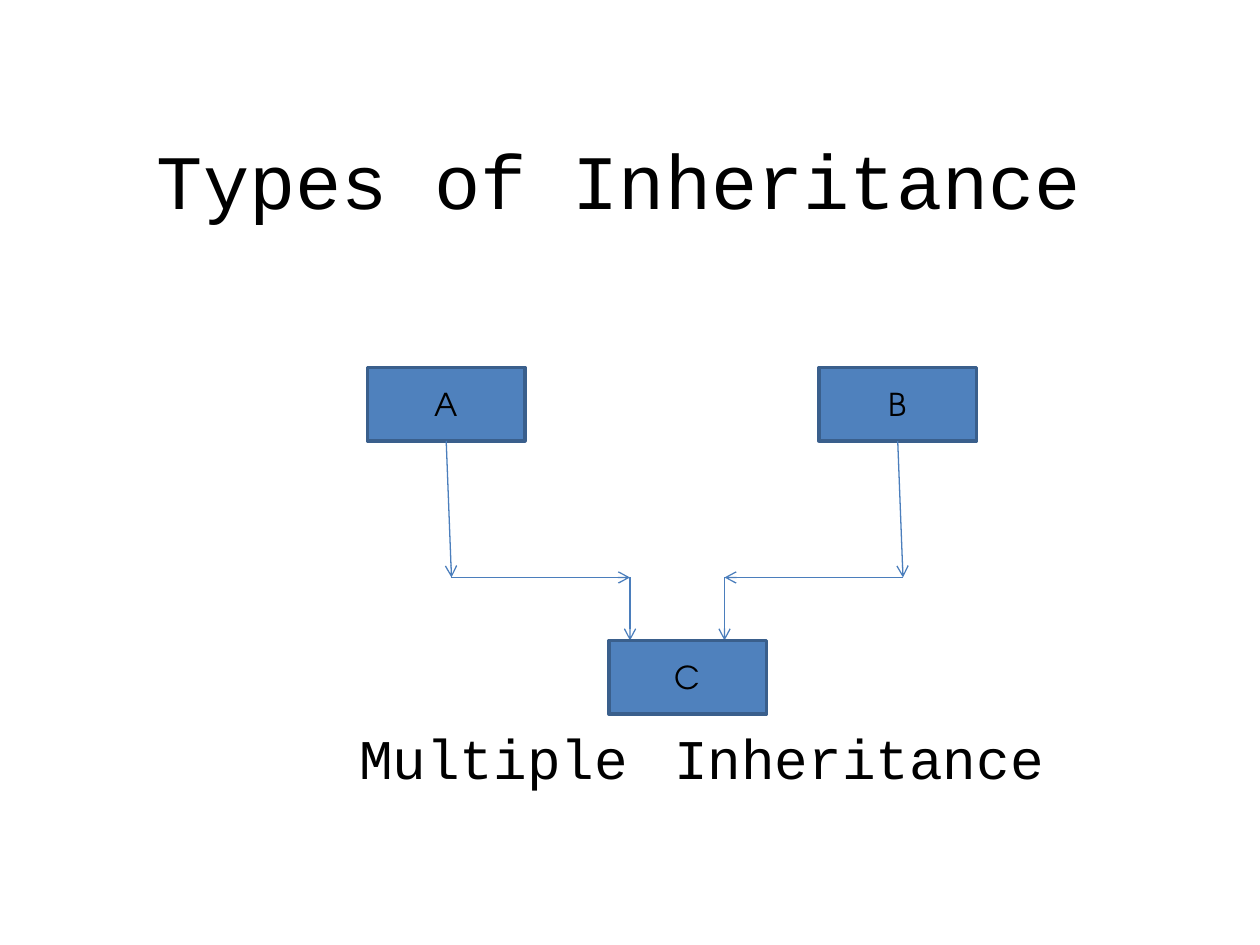
from lxml import etree
from pptx import Presentation
from pptx.dml.color import RGBColor
from pptx.enum.shapes import MSO_CONNECTOR, MSO_SHAPE
from pptx.enum.text import MSO_ANCHOR, MSO_AUTO_SIZE, PP_ALIGN
from pptx.oxml.ns import qn
from pptx.util import Inches, Pt

RECT = MSO_SHAPE.RECTANGLE
LINE = MSO_CONNECTOR.STRAIGHT
LEFT, MID = PP_ALIGN.LEFT, PP_ALIGN.CENTER
TOP, CENTRE = MSO_ANCHOR.TOP, MSO_ANCHOR.MIDDLE
FIXED = MSO_AUTO_SIZE.NONE

MONO, SANS = "Courier New", "TeX Gyre Adventor"
BLACK, BLUE, EDGE, WIRE = "000000", "4F81BD", "3A5F8C", "4B7EBC"

# Grid of 120 columns and 90 rows, twelve to the inch
BOX_W, BOX_H = 15, 7
ROW_TOP, ROW_TURN, ROW_END = 35, 55, 61


def grid(n):
    return Inches(n / 12)


def paint(hue):
    return RGBColor.from_string(hue)


def write(shape, text, font, size, align, anchor):
    frame = shape.text_frame
    frame.text = text
    frame.word_wrap = True
    frame.auto_size = FIXED
    frame.vertical_anchor = anchor
    para = frame.paragraphs[0]
    para.alignment = align
    para.space_before = Pt(0)
    for run in para.runs:
        run.font.name = font
        run.font.size = Pt(size)
        run.font.color.rgb = paint(BLACK)
    return para


def place(shape, x, y, w, h):
    shape.left, shape.top = grid(x), grid(y)
    shape.width, shape.height = grid(w), grid(h)


def add_tab(para, n):
    tabs = etree.SubElement(para._p.get_or_add_pPr(), qn("a:tabLst"))
    etree.SubElement(tabs, qn("a:tab"), pos=str(grid(n)), algn="l")


def add_box(slide, name, x, y):
    box = slide.shapes.add_shape(RECT, grid(x), grid(y), grid(BOX_W), grid(BOX_H))
    box.shadow.inherit = False
    box.fill.solid()
    box.fill.fore_color.rgb = paint(BLUE)
    box.line.color.rgb = paint(EDGE)
    box.line.width = Pt(2)
    write(box, name, SANS, 18, MID, CENTRE)


def add_arrow(slide, start, end):
    wire = slide.shapes.add_connector(LINE, *map(grid, start + end))
    wire.line.color.rgb = paint(WIRE)
    wire.line.width = Pt(0.75)
    props = wire._element.spPr
    etree.SubElement(props.find(qn("a:ln")), qn("a:tailEnd"), type="arrow")
    etree.SubElement(props, qn("a:effectLst"))


def main():
    deck = Presentation()
    deck.slide_width, deck.slide_height = grid(120), grid(90)
    slide = deck.slides.add_slide(deck.slide_layouts[0])

    # Title and caption
    title, label = slide.placeholders
    place(title, 8, 11, 102, 12)
    write(title, "Types of Inheritance", MONO, 44, MID, CENTRE)
    place(label, 33, 68.3, 76, 7)
    para = write(label, "Multiple\tInheritance", MONO, 32, LEFT, TOP)
    add_tab(para, 32)

    # Two parents, each with a path of arrows down to the child
    for name, x, end in (("A", 35, 60), ("B", 78, 69)):
        add_box(slide, name, x, ROW_TOP)
        mid = x + BOX_W / 2
        path = [(mid, ROW_TOP + BOX_H), (mid + 0.5, ROW_TURN),
                (end, ROW_TURN), (end, ROW_END)]
        for start, stop in zip(path, path[1:]):
            add_arrow(slide, start, stop)

    # Child
    add_box(slide, "C", 58, ROW_END)

    deck.save("out.pptx")


if __name__ == "__main__":
    main()
